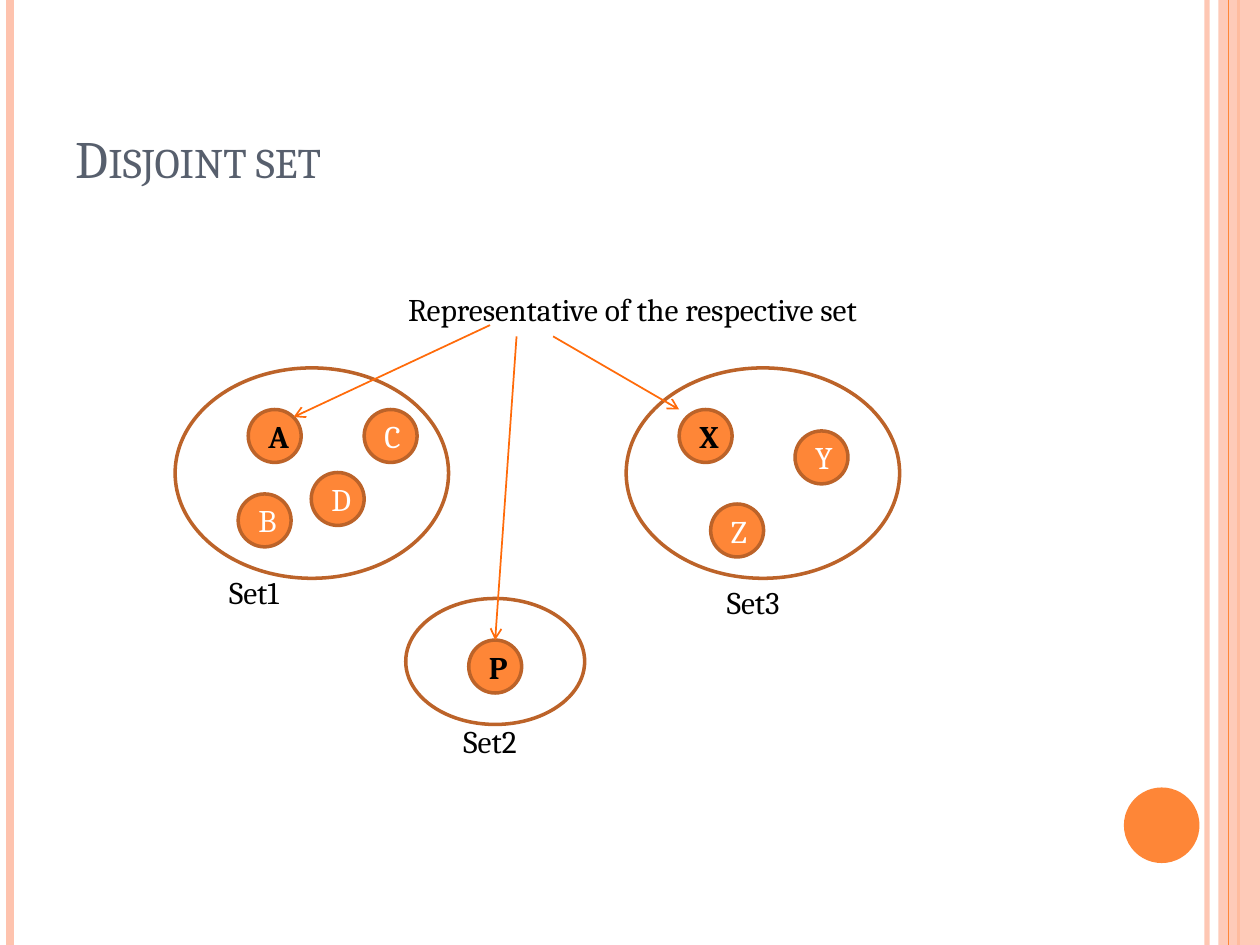
from lxml.etree import SubElement
from pptx import Presentation
from pptx.dml.color import RGBColor
from pptx.enum.shapes import MSO_CONNECTOR, MSO_SHAPE
from pptx.enum.text import MSO_ANCHOR, MSO_AUTO_SIZE, PP_ALIGN
from pptx.oxml.ns import qn
from pptx.util import Inches, Pt

COLORS = {
    "orange": "FE8637",
    "peach": "FEC3AE",
    "outline": "BC6329",
    "arrow": "FF6B0A",
    "title": "575F6D",
    "black": "000000",
    "white": "FFFFFF",
}
NODE_SIZE = 0.42


class SlideBuilder:
    font_name = "Cambria"
    text_size = 18

    def __init__(self, slide):
        self.slide = slide

    def color(self, name):
        return RGBColor.from_string(COLORS[name])

    def set_opacity(self, element, percent):
        """Make the first solid colour below the element partly transparent."""
        color = next(element.iter(qn("a:srgbClr")))
        SubElement(color, qn("a:alpha")).set("val", str(percent * 1000))

    def style_text(self, paragraph, color, size=text_size, bold=False):
        font = paragraph.font
        font.name = self.font_name
        font.size = Pt(size)
        font.bold = bold
        font.color.rgb = self.color(color)

    def title(self, text, left, top, width, height):
        title = self.slide.shapes.title
        title.left, title.top = Inches(left), Inches(top)
        title.width, title.height = Inches(width), Inches(height)
        frame = title.text_frame
        frame.text = text
        frame.vertical_anchor = MSO_ANCHOR.BOTTOM
        paragraph = frame.paragraphs[0]
        paragraph.alignment = PP_ALIGN.LEFT
        self.style_text(paragraph, "title", size=30)
        paragraph.runs[0].font._element.set("cap", "small")

    def shape(self, kind, left, top, width, height, fill=None, line=None):
        shape = self.slide.shapes.add_shape(
            kind, Inches(left), Inches(top), Inches(width), Inches(height))
        shape.shadow.inherit = False
        if fill:
            shape.fill.solid()
            shape.fill.fore_color.rgb = self.color(fill)
        else:
            shape.fill.background()
        if line:
            shape.line.color.rgb = self.color(line)
            shape.line.width = Pt(2)
        else:
            shape.line.fill.background()
        return shape

    def node(self, text, left, top, representative=False):
        node = self.shape(MSO_SHAPE.OVAL, left, top, NODE_SIZE, NODE_SIZE,
                          "orange", "outline")
        node.text_frame.text = text
        paragraph = node.text_frame.paragraphs[0]
        paragraph.alignment = PP_ALIGN.CENTER
        self.style_text(paragraph, "black" if representative else "white",
                        bold=representative)

    def label(self, text, left, top, width):
        box = self.slide.shapes.add_textbox(
            Inches(left), Inches(top), Inches(width), Inches(0.4))
        frame = box.text_frame
        frame.word_wrap = False
        frame.auto_size = MSO_AUTO_SIZE.SHAPE_TO_FIT_TEXT
        frame.text = text
        self.style_text(frame.paragraphs[0], "black")

    def line(self, start, end, color, width):
        connector = self.slide.shapes.add_connector(
            MSO_CONNECTOR.STRAIGHT, *map(Inches, start + end))
        connector.line.color.rgb = self.color(color)
        connector.line.width = Pt(width)
        SubElement(connector._element.spPr, qn("a:effectLst"))
        return connector

    def arrow(self, start, end):
        connector = self.line(start, end, "arrow", 1)
        SubElement(connector.line._get_or_add_ln(), qn("a:tailEnd")).set("type", "arrow")

    def vertical_rule(self, x, color, width):
        return self.line((x, 0), (x, 7.5), color, width)

    def side_decoration(self):
        rule = self.vertical_rule(9.58, "peach", 3)
        self.set_opacity(rule._element, 93)
        self.vertical_rule(0.08, "peach", 4.5)
        self.vertical_rule(9.83, "orange", 1.5)
        band = self.shape(MSO_SHAPE.RECTANGLE, 9.67, 0, 0.33, 7.5, "peach")
        self.set_opacity(band._element, 87)
        self.vertical_rule(9.75, "orange", 0.75)
        self.shape(MSO_SHAPE.OVAL, 8.92, 6.25, 0.6, 0.6, "orange")


def main():
    presentation = Presentation()
    presentation.slide_width, presentation.slide_height = Inches(10), Inches(7.5)
    slide = presentation.slides.add_slide(presentation.slide_layouts[5])
    builder = SlideBuilder(slide)

    builder.side_decoration()
    builder.title("Disjoint set", 0.5, 0.3, 8.17, 1.25)

    # Each set: outline box, label position, and nodes led by the representative
    sets = {
        "Set1": ((1.39, 2.92, 2.17, 1.67), (1.72, 4.5),
                 [("A", 1.97, 3.25), ("C", 2.89, 3.25), ("B", 1.89, 3.92), ("D", 2.47, 3.75)]),
        "Set2": ((3.22, 4.75, 1.42, 1), (3.58, 5.68),
                 [("P", 3.72, 5.08)]),
        "Set3": ((4.97, 2.92, 2.17, 1.67), (5.67, 4.58),
                 [("X", 5.39, 3.25), ("Y", 6.31, 3.42), ("Z", 5.64, 4)]),
    }
    for name, (outline, label_position, nodes) in sets.items():
        builder.shape(MSO_SHAPE.OVAL, *outline, line="outline")
        for index, node in enumerate(nodes):
            builder.node(*node, representative=index == 0)
        builder.label(name, *label_position, 0.73)

    for start, end in [((3.89, 2.58), (2.33, 3.31)),
                       ((4.1, 2.67), (3.93, 5.08)),
                       ((4.39, 2.67), (5.39, 3.25))]:
        builder.arrow(start, end)
    builder.label("Representative of the respective set", 3.14, 2.25, 4.36)

    presentation.save("out.pptx")


if __name__ == "__main__":
    main()
